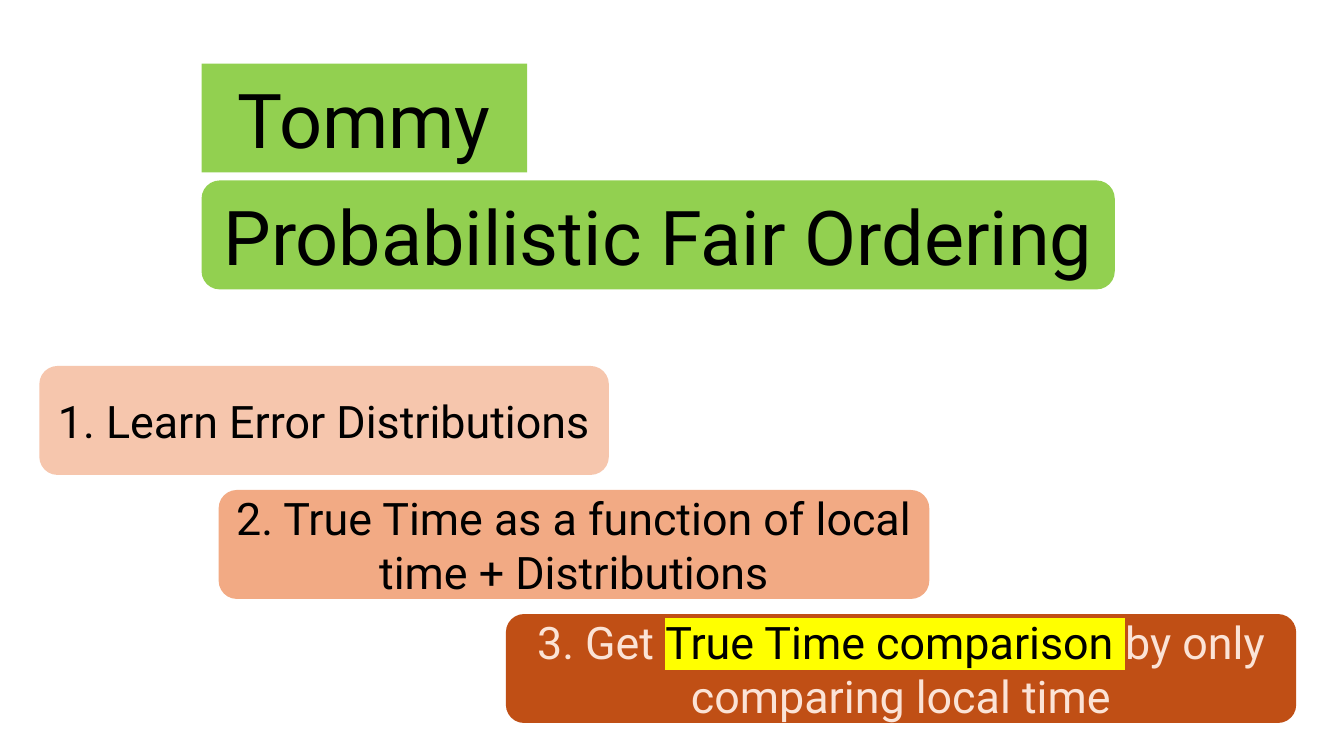
"""Build the slide that introduces Tommy and its three steps."""
from lxml.etree import SubElement
from pptx import Presentation
from pptx.dml.color import RGBColor
from pptx.enum.shapes import MSO_SHAPE
from pptx.enum.text import MSO_ANCHOR, MSO_AUTO_SIZE, PP_ALIGN
from pptx.oxml import parse_xml
from pptx.oxml.ns import nsdecls, qn
from pptx.util import Pt

COLORS = {
    "green": "92D050", "peach": "F6C6AD", "orange": "F2AA84",
    "rust": "C04F15", "cream": "FBE3D6", "black": "000000", "yellow": "FFFF00",
}
TITLE = ("Tommy", 232.6)
SUBTITLE = ("Probabilistic Fair Ordering", 652.3)
STEPS = [
    (28.1, 406.8, "peach", [("1. Learn Error Distributions", "black", None)]),
    (156.2, 507.6, "orange",
     [("2. True Time as a function of local time + Distributions", "black", None)]),
    (361.4, 564.5, "rust",
     [("3. Get ", "cream", None),
      ("True Time comparison ", "black", "yellow"),
      ("by only comparing local time", "cream", None)]),
]
HEADING_LEFT, HEADING_TOP, HEADING_PITCH = 144, 45.4, 83.5
STEP_TOP, STEP_PITCH = 261.4, 88.6
BOX_HEIGHT = 77.8
HEADING_SIZE, STEP_SIZE = 54, 32
FRAME_FORMAT = {
    "word_wrap": True,
    "auto_size": MSO_AUTO_SIZE.NONE,
    "vertical_anchor": MSO_ANCHOR.MIDDLE,
}


def add_highlight(run, color):
    """Set a highlight behind one run of text."""
    highlight = parse_xml(
        f'<a:highlight {nsdecls("a")}><a:srgbClr val="{COLORS[color]}"/></a:highlight>')
    run.font.fill._xPr.find(qn("a:solidFill")).addnext(highlight)


def fill_box(shape, color, runs, size):
    """Colour a box and write its centred text."""
    shape.fill.solid()
    shape.fill.fore_color.rgb = RGBColor.from_string(COLORS[color])
    shape.line.fill.background()
    for name, value in FRAME_FORMAT.items():
        setattr(shape.text_frame, name, value)
    paragraph = shape.text_frame.paragraphs[0]
    paragraph.alignment = PP_ALIGN.CENTER
    for text, text_color, highlight in runs:
        run = paragraph.add_run()
        run.text = text
        for name, value in {"name": "Roboto", "size": Pt(size)}.items():
            setattr(run.font, name, value)
        run.font.color.rgb = RGBColor.from_string(COLORS[text_color])
        if highlight:
            add_highlight(run, highlight)


def add_box(slide, left, top, width, color, runs, size):
    """Add one rounded box with text."""
    shape = slide.shapes.add_shape(
        MSO_SHAPE.ROUNDED_RECTANGLE, Pt(left), Pt(top), Pt(width), Pt(BOX_HEIGHT))
    shape.shadow.inherit = False
    fill_box(shape, color, runs, size)


def place_title(slide):
    """Turn the title placeholder into a rounded box."""
    text, width = TITLE
    title = slide.shapes.title
    place = {"left": HEADING_LEFT, "top": HEADING_TOP, "width": width, "height": BOX_HEIGHT}
    for name, value in place.items():
        setattr(title, name, Pt(value))
    geometry = SubElement(title.element.spPr, qn("a:prstGeom"), prst="roundRect")
    SubElement(geometry, qn("a:avLst"))
    fill_box(title, "green", [(text, "black", None)], HEADING_SIZE)


def main():
    """Build and save the presentation."""
    presentation = Presentation()
    presentation.slide_width, presentation.slide_height = Pt(960), Pt(540)
    slide = presentation.slides.add_slide(presentation.slide_layouts[5])
    place_title(slide)
    text, width = SUBTITLE
    add_box(slide, HEADING_LEFT, HEADING_TOP + HEADING_PITCH, width, "green",
            [(text, "black", None)], HEADING_SIZE)
    for index, (left, width, color, runs) in enumerate(STEPS):
        add_box(slide, left, STEP_TOP + index * STEP_PITCH, width, color, runs, STEP_SIZE)
    presentation.save("out.pptx")


if __name__ == "__main__":
    main()
